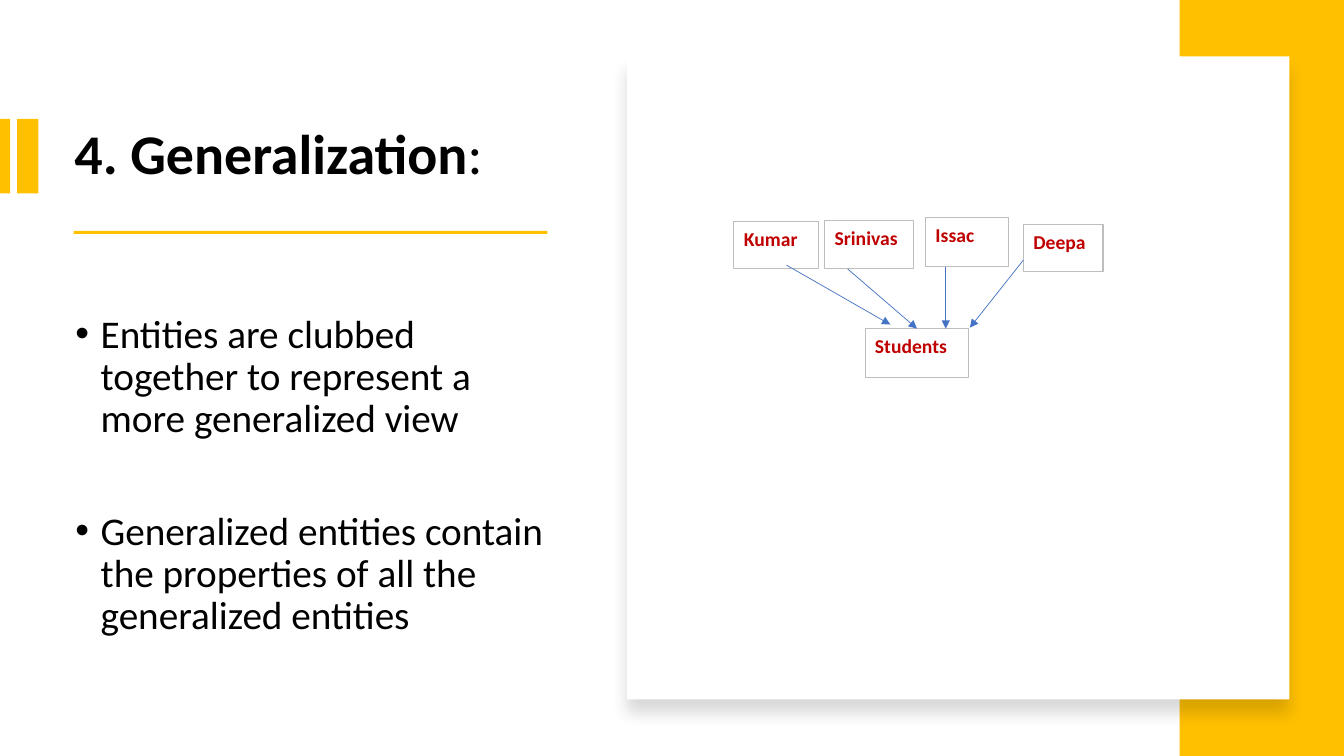
import pptx
import pptx.dml.color
import pptx.enum.shapes
import pptx.enum.text
import pptx.oxml
import pptx.oxml.ns
import pptx.util
from lxml import etree
from pptx.util import Inches, Pt

COLORS = {"accent": "FFC000", "paper": "FFFFFF", "ink": "000000",
          "border": "BDBDBD", "label": "C00000", "arrow": "4472C4"}
FONT = "Calibri"
ANCHOR = pptx.enum.text.MSO_ANCHOR
A_NS = pptx.oxml.ns.nsdecls("a")

# name: (box, arrow start, arrow end, arrow above boxes), relative to the card
ENTITIES = {
    "Srinivas": ((1.96, 1.63, 0.88, 0.47), (2.12, 2.05), (2.88, 2.7), False),
    "Deepa": ((3.93, 1.67, 0.79, 0.46), (3.93, 2.02), (3.4, 2.69), True),
    "Issac": ((2.96, 1.6, 0.82, 0.48), (3.16, 2.01), (3.16, 2.7), False),
    "Kumar": ((1.06, 1.64, 0.84, 0.46), (1.58, 2.07), (2.61, 2.66), True),
}
STUDENTS_BOX = (2.36, 2.7, 1.03, 0.49)


def rgb(name):
    return pptx.dml.color.RGBColor.from_string(COLORS[name])


def add_rect(slide, box, fill, border=None):
    rect = slide.shapes.add_shape(
        pptx.enum.shapes.MSO_SHAPE.RECTANGLE, *map(Inches, box))
    rect.shadow.inherit = False
    rect.fill.solid()
    rect.fill.fore_color.rgb = rgb(fill)
    if border:
        rect.line.color.rgb = rgb(border)
        rect.line.width = Pt(0.75)
    else:
        rect.line.fill.background()
    return rect


def add_run(paragraph, text, size, color="ink", bold=False):
    run = paragraph.add_run()
    run.text = text
    run.font.name = FONT
    run.font.size = Pt(size)
    run.font.bold = bold
    run.font.color.rgb = rgb(color)


def add_text_frame(slide, box):
    frame = slide.shapes.add_textbox(*map(Inches, box)).text_frame
    frame.word_wrap = True
    frame.vertical_anchor = ANCHOR.MIDDLE
    return frame


def add_heading(slide, left, top):
    """Title with the accent bars to its left and the rule below it."""
    heading = add_text_frame(slide, (left, top, 4.99, 1.23)).paragraphs[0]
    heading.line_spacing = 0.9
    add_run(heading, "4. Generalization", 40, bold=True)
    add_run(heading, ":", 40)
    for bar_left, bar_width in ((0, 0.1), (0.17, 0.21)):
        add_rect(slide, (bar_left, top + 0.24, bar_width, 0.74), "accent")
    add_rect(slide, (left + 0.09, top + 1.35, 4.7, 0.03), "accent")


def add_points(slide, box):
    frame = add_text_frame(slide, box)
    points = (
        ("Entities are clubbed together to represent a more generalized view", 10),
        ("Generalized entities contain the properties of all the generalized entities", 50),
    )
    for index, (text, space_before) in enumerate(points):
        point = frame.add_paragraph() if index else frame.paragraphs[0]
        point.line_spacing = 0.9
        point.space_before = Pt(space_before)
        properties = point._p.get_or_add_pPr()
        properties.set("marL", str(Inches(0.25)))
        properties.set("indent", str(-Inches(0.25)))
        properties.append(pptx.oxml.parse_xml(f'<a:buFont {A_NS} typeface="Arial"/>'))
        properties.append(pptx.oxml.parse_xml(f'<a:buChar {A_NS} char="•"/>'))
        add_run(point, text, 28)


def add_card(slide, box):
    """White panel with a soft shadow straight below it."""
    card = add_rect(slide, box, "paper")
    effects = card._element.spPr.find(pptx.oxml.ns.qn("a:effectLst"))
    effects.append(pptx.oxml.parse_xml(
        f'<a:outerShdw {A_NS} blurRad="{Pt(11)}" dist="{Pt(10)}" dir="5400000" '
        f'algn="t" rotWithShape="0"><a:srgbClr val="{COLORS["ink"]}">'
        '<a:alpha val="15000"/></a:srgbClr></a:outerShdw>'))


def add_entity(slide, name, origin, box):
    left, top, width, height = box
    entity = add_rect(slide, (origin[0] + left, origin[1] + top, width, height),
                      "paper", "border")
    entity.text_frame.word_wrap = True
    entity.text_frame.vertical_anchor = ANCHOR.TOP
    label = entity.text_frame.paragraphs[0]
    label.alignment = pptx.enum.text.PP_ALIGN.LEFT
    add_run(label, name, 14, "label", bold=True)
    return entity


def add_arrow(slide, origin, start, end):
    ends = [Inches(base + offset) for point in (start, end)
            for base, offset in zip(origin, point)]
    arrow = slide.shapes.add_connector(
        pptx.enum.shapes.MSO_CONNECTOR.STRAIGHT, *ends)
    arrow.line.color.rgb = rgb("arrow")
    arrow.line.width = Pt(0.5)
    arrow.line._get_or_add_ln().append(
        pptx.oxml.parse_xml(f'<a:tailEnd {A_NS} type="triangle"/>'))
    etree.SubElement(arrow._element.spPr, pptx.oxml.ns.qn("a:effectLst"))
    return arrow


def add_diagram(slide, origin):
    """Four people generalized into Students."""
    students = add_entity(slide, "Students", origin, STUDENTS_BOX)

    def add_arrows(above):
        for name, (_, start, end, is_above) in ENTITIES.items():
            if is_above == above:
                arrow = add_arrow(slide, origin, start, end)
                if name == "Srinivas":
                    arrow.end_connect(students, 0)

    add_arrows(above=False)
    for name, (box, *_) in ENTITIES.items():
        add_entity(slide, name, origin, box)
    add_arrows(above=True)


def main():
    deck = pptx.Presentation()
    deck.slide_width, deck.slide_height = Inches(13.33), Inches(7.5)
    slide = deck.slides.add_slide(deck.slide_layouts[6])
    add_heading(slide, 0.64, 0.94)
    add_points(slide, (0.65, 2.55, 4.99, 4.35))
    add_rect(slide, (11.7, 0, 1.63, 7.5), "accent")
    card_box = (6.22, 0.56, 6.57, 6.38)
    add_card(slide, card_box)
    add_diagram(slide, card_box[:2])
    deck.save("out.pptx")


if __name__ == "__main__":
    main()
